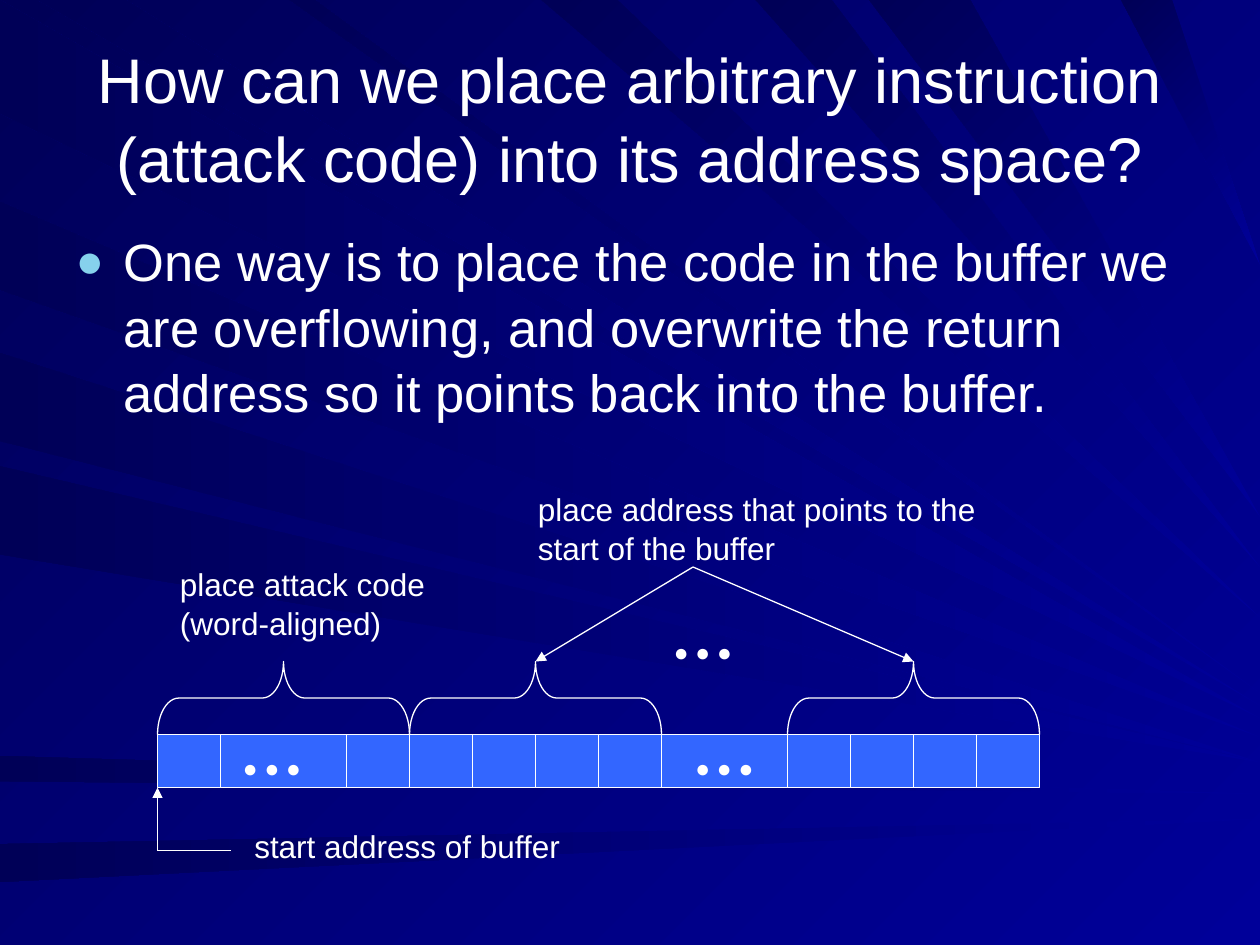
from itertools import accumulate

from lxml import etree
from pptx import Presentation
from pptx.dml.color import RGBColor
from pptx.enum import shapes, text
from pptx.oxml import ns
from pptx.util import Inches, Pt

WHITE = RGBColor(0xFF, 0xFF, 0xFF)
CELL_BLUE = RGBColor(0x33, 0x66, 0xFF)
BULLET_BLUE = RGBColor(0x86, 0xD1, 0xEC)
NAVY = RGBColor(0x00, 0x00, 0x99)
MIDNIGHT = RGBColor(0x00, 0x00, 0x57)
FONT = "Arial"
DOTS = "● ● ●"
CELL_WIDTHS = [0.5, 1] + [0.5] * 5 + [1] + [0.5] * 4
SIDE_RAYS = [(0, 0.9, 5.7), (1.6, 2.3, 5.85), (2.8, 3.5, 6.05),
             (3.7, 4.4, 6.05), (6, 6.2, 6.3), (6.7, 7, 6.5)]
TOP_RAYS = [(0.3, 1, 5.6), (2.3, 2.5, 5.5), (4.3, 4.9, 4.9),
            (6, 6.6, 4.5), (6.9, 7.7, 4.1), (8.9, 9.3, 2.1)]


def fill_gradient(fill, angle):
    """Blend navy into midnight at an angle measured clockwise."""
    fill.gradient()
    fill.gradient_angle = 360 - angle
    for stop, color in zip(fill.gradient_stops, (NAVY, MIDNIGHT)):
        stop.color.rgb = color


def add_ray(group, angle, *points):
    """Draw one ray through its corner points."""
    corners = [(Inches(x), Inches(y)) for x, y in points]
    builder = group.shapes.build_freeform(*corners[0])
    builder.add_line_segments(corners[1:], close=True)
    ray = builder.convert_to_shape()
    ray.shadow.inherit = False
    ray.line.fill.background()
    fill_gradient(ray.fill, angle)


def add_backdrop(page, width):
    """Fill the background and lay the rays behind the placeholders."""
    fill_gradient(page.background.fill, 225)
    group = page.shapes.add_group_shape()
    for start, end, tip in SIDE_RAYS:
        add_ray(group, 180, (0, start), (0, end), (width, tip))
    for start, end, tip in TOP_RAYS:
        add_ray(group, 225, (start, 0), (end, 0), (width, tip))
    page.shapes._spTree.insert(2, group._element)


def place(shape, left, top, width, height):
    """Move a shape to a box given in inches."""
    shape.left, shape.top = Inches(left), Inches(top)
    shape.width, shape.height = Inches(width), Inches(height)


def write(shape, words, size):
    """Put one white paragraph into a shape and return it."""
    frame = shape.text_frame
    frame.word_wrap = True
    frame.auto_size = text.MSO_AUTO_SIZE.NONE
    para = frame.paragraphs[0]
    para.text = words
    para.space_before = Pt(0)
    para.line_spacing = 1.04
    para.font.name = FONT
    para.font.size = Pt(size)
    para.font.color.rgb = WHITE
    return para


def add_title(page, *box):
    """Fill the title placeholder."""
    title = page.shapes.title
    place(title, *box)
    para = write(title, "How can we place arbitrary instruction (attack code) into its address space?", 36)
    para.alignment = text.PP_ALIGN.CENTER
    title.text_frame.vertical_anchor = text.MSO_ANCHOR.MIDDLE


def add_body(page, *box):
    """Fill the body placeholder with its bullet."""
    body = page.placeholders[1]
    place(body, *box)
    props = body.text_frame.paragraphs[0]._p.get_or_add_pPr()
    props.set("marL", str(Inches(0.38)))
    props.set("indent", str(Inches(-0.38)))
    color = etree.SubElement(props, ns.qn("a:buClr"))
    etree.SubElement(color, ns.qn("a:srgbClr"), val=str(BULLET_BLUE))
    etree.SubElement(props, ns.qn("a:buSzPct"), val="90000")
    etree.SubElement(props, ns.qn("a:buFont"), typeface=FONT)
    etree.SubElement(props, ns.qn("a:buChar"), char="●")
    write(body, "One way is to place the code in the buffer we are overflowing, and overwrite "
                "the return address so it points back into the buffer.", 30)


def add_label(page, words, size, *box):
    """Add a text label."""
    label = page.shapes.add_textbox(0, 0, 0, 0)
    place(label, *box)
    write(label, words, size)


def outline(shape):
    """Give a shape or connector a thin white line."""
    shape.line.color.rgb = WHITE
    shape.line.width = Pt(0.75)


def add_line(page, start, end, arrow=True):
    """Draw a straight line, with an arrowhead at its end if wanted."""
    ends = [Inches(value) for value in (*start, *end)]
    line = page.shapes.add_connector(shapes.MSO_CONNECTOR.STRAIGHT, *ends)
    outline(line)
    if arrow:
        etree.SubElement(line.line._get_or_add_ln(), ns.qn("a:tailEnd"), type="triangle")
    etree.SubElement(line._element.spPr, ns.qn("a:effectLst"))


def add_brace(page, left, bottom, span, rise):
    """Draw a brace over a run of cells, pointing up."""
    brace = page.shapes.add_shape(shapes.MSO_SHAPE.LEFT_BRACE, 0, 0, 0, 0)
    place(brace, left + (span - rise) / 2, bottom - (rise + span) / 2, rise, span)
    brace.rotation = 90
    brace.adjustments[0] = 0.29
    brace.shadow.inherit = False
    brace.fill.background()
    outline(brace)


def add_buffer(page, left, top, height):
    """Draw the buffer cells with their braces, arrows and labels."""
    for end, width in zip(accumulate(CELL_WIDTHS), CELL_WIDTHS):
        cell = page.shapes.add_shape(shapes.MSO_SHAPE.RECTANGLE, 0, 0, 0, 0)
        place(cell, left + end - width, top, width, height)
        cell.shadow.inherit = False
        cell.fill.solid()
        cell.fill.fore_color.rgb = CELL_BLUE
        outline(cell)
    for offset in (0, 2, 5):
        add_brace(page, left + offset, top, 2, 0.58)
    for offset in (3, 6):
        add_line(page, (left + 4.25, top - 1.33), (left + offset, top - 0.58))
    for x, y in ((0.58, 0.09), (4.17, 0.09), (4, -0.83)):
        add_label(page, DOTS, 14, left + x, top + y, 0.92, 0.34)
    add_label(page, "place address that points to the start of the buffer", 18,
              left + 2.92, top - 2, 3.75, 0.7)
    add_label(page, "place attack code (word-aligned)", 18, left + 0.08, top - 1.41, 2.17, 0.7)
    corner = (left, top + height + 0.5)
    add_line(page, corner, (left, top + height))
    add_line(page, corner, (left + 0.58, corner[1]), arrow=False)
    add_label(page, "start address of buffer", 18, left + 0.67, corner[1] - 0.25, 2.83, 0.4)


def main():
    """Build and save the deck."""
    deck = Presentation()
    deck.slide_width, deck.slide_height = Inches(10), Inches(7.5)
    page = deck.slides.add_slide(deck.slide_layouts[1])
    add_backdrop(page, 10)
    add_title(page, 0.5, 0.3, 9, 1.25)
    add_body(page, 0.5, 1.75, 9, 4.95)
    add_buffer(page, 1.25, 5.83, 0.42)
    deck.save("out.pptx")


if __name__ == "__main__":
    main()
